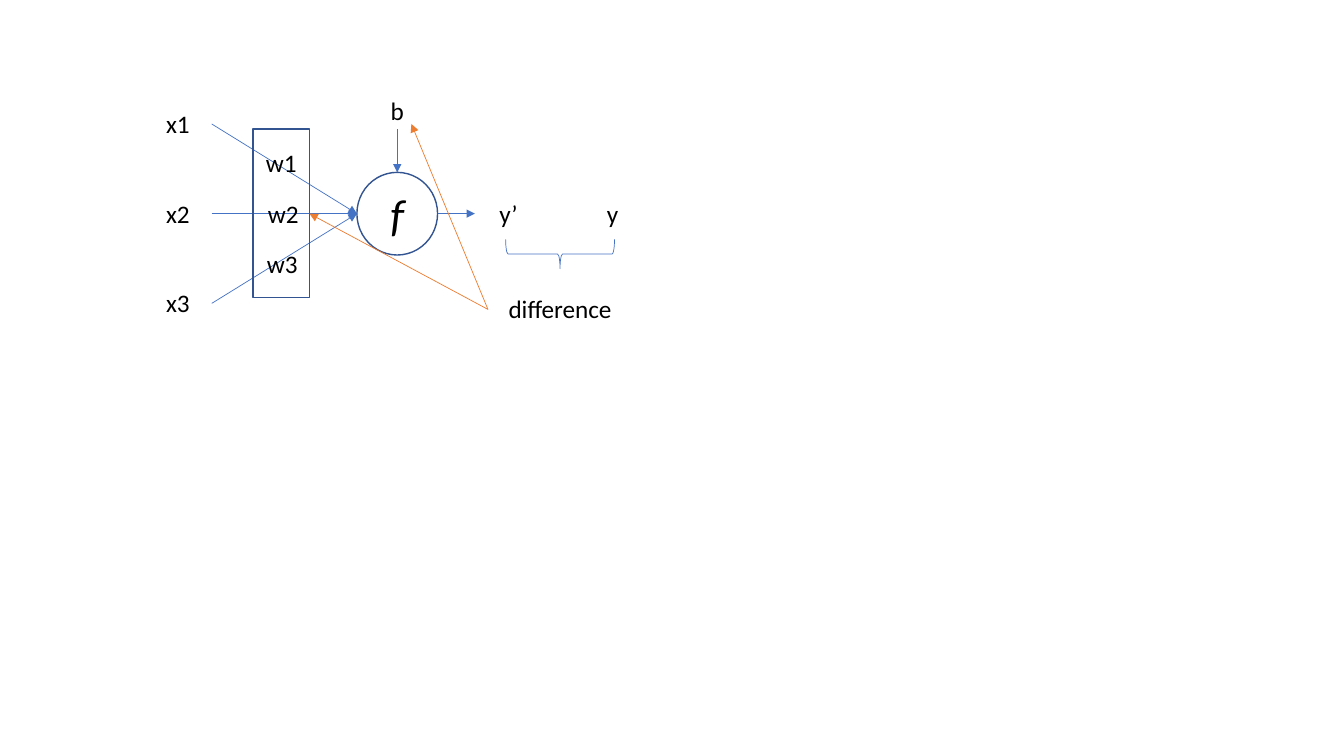
from lxml import etree
from pptx import Presentation
from pptx.dml.color import RGBColor
from pptx.enum.shapes import MSO_CONNECTOR, MSO_SHAPE
from pptx.enum.text import MSO_ANCHOR, PP_ALIGN
from pptx.oxml.ns import qn
from pptx.util import Inches, Pt

STRAIGHT = MSO_CONNECTOR.STRAIGHT
NODE = MSO_SHAPE.FLOWCHART_CONNECTOR
BRACE = MSO_SHAPE.LEFT_BRACE
RECTANGLE = MSO_SHAPE.RECTANGLE
MIDDLE = MSO_ANCHOR.MIDDLE
CENTER = PP_ALIGN.CENTER

BLACK = RGBColor(0x00, 0x00, 0x00)
BLUE = RGBColor(0x44, 0x72, 0xC4)
NAVY = RGBColor(0x32, 0x54, 0x91)
ORANGE = RGBColor(0xED, 0x7D, 0x31)


class Diagram:
    font = "Calibri"
    text_size = 18
    thin = 0.5

    def __init__(self, slide):
        self.shapes = slide.shapes

    def add_text(self, shape, text, size, italic=False):
        frame = shape.text_frame
        frame.word_wrap = False
        frame.vertical_anchor = MIDDLE
        frame.margin_left = frame.margin_right = 0
        frame.margin_top = frame.margin_bottom = 0
        para = frame.paragraphs[0]
        para.alignment = CENTER
        span = para.add_run()
        span.text = text
        span.font.name = self.font
        span.font.size = Pt(size)
        span.font.italic = italic
        span.font.color.rgb = BLACK

    def outline(self, kind, area, color=None, width=1, rotation=0):
        shape = self.shapes.add_shape(kind, *map(Inches, area))
        shape.shadow.inherit = False
        shape.fill.background()
        shape.rotation = rotation
        if color is None:
            shape.line.fill.background()
        else:
            shape.line.color.rgb = color
            shape.line.width = Pt(width)
        return shape

    def node(self, text, area):
        self.add_text(self.outline(NODE, area), text, self.text_size)

    def label(self, text, area):
        box = self.shapes.add_textbox(*map(Inches, area))
        self.add_text(box, text, self.text_size)

    def arrow(self, start, end, color=BLUE):
        connector = self.shapes.add_connector(STRAIGHT, *map(Inches, start + end))
        connector.line.color.rgb = color
        connector.line.width = Pt(self.thin)
        properties = connector._element.spPr
        tail = etree.SubElement(properties.find(qn("a:ln")), qn("a:tailEnd"))
        tail.set("type", "triangle")
        etree.SubElement(properties, qn("a:effectLst"))


def main():
    deck = Presentation()
    deck.slide_width = Inches(13.33)
    deck.slide_height = Inches(7.5)
    diagram = Diagram(deck.slides.add_slide(deck.slide_layouts[6]))

    axis = 2.12
    neuron_left, neuron_right = 3.54, 4.34
    neuron = diagram.outline(NODE, (neuron_left, 1.71, 0.8, 0.82), NAVY)
    diagram.add_text(neuron, "f", 32, italic=True)

    for index in range(3):
        top = 0.89 + 0.89 * index
        diagram.node(f"x{index + 1}", (1.43, top, 0.67, 0.67))
        diagram.arrow((2.1, top + 0.34), (neuron_left, axis))

    for index, left in enumerate((2.38, 2.4, 2.39)):
        diagram.node(f"w{index + 1}", (left, 1.28 + 0.5 * index, 0.82, 0.67))

    diagram.node("b", (3.74, 0.91, 0.4, 0.37))
    diagram.arrow((3.94, 1.28), (3.94, 1.71))

    for text, left in (("y’", 4.71), ("y", 5.74)):
        diagram.node(text, (left, 1.78, 0.67, 0.68))
    diagram.arrow((neuron_right, axis), (4.71, axis))

    diagram.outline(BRACE, (5.41, 1.98, 0.29, 1.08), BLUE, diagram.thin, 270)
    diagram.label("difference", (4.84, 2.8, 1.43, 0.53))
    diagram.outline(RECTANGLE, (2.51, 1.28, 0.56, 1.67), NAVY)

    for target in ((4.08, 1.23), (3.07, axis)):
        diagram.arrow((4.84, 3.07), target, ORANGE)

    deck.save("out.pptx")


if __name__ == "__main__":
    main()
